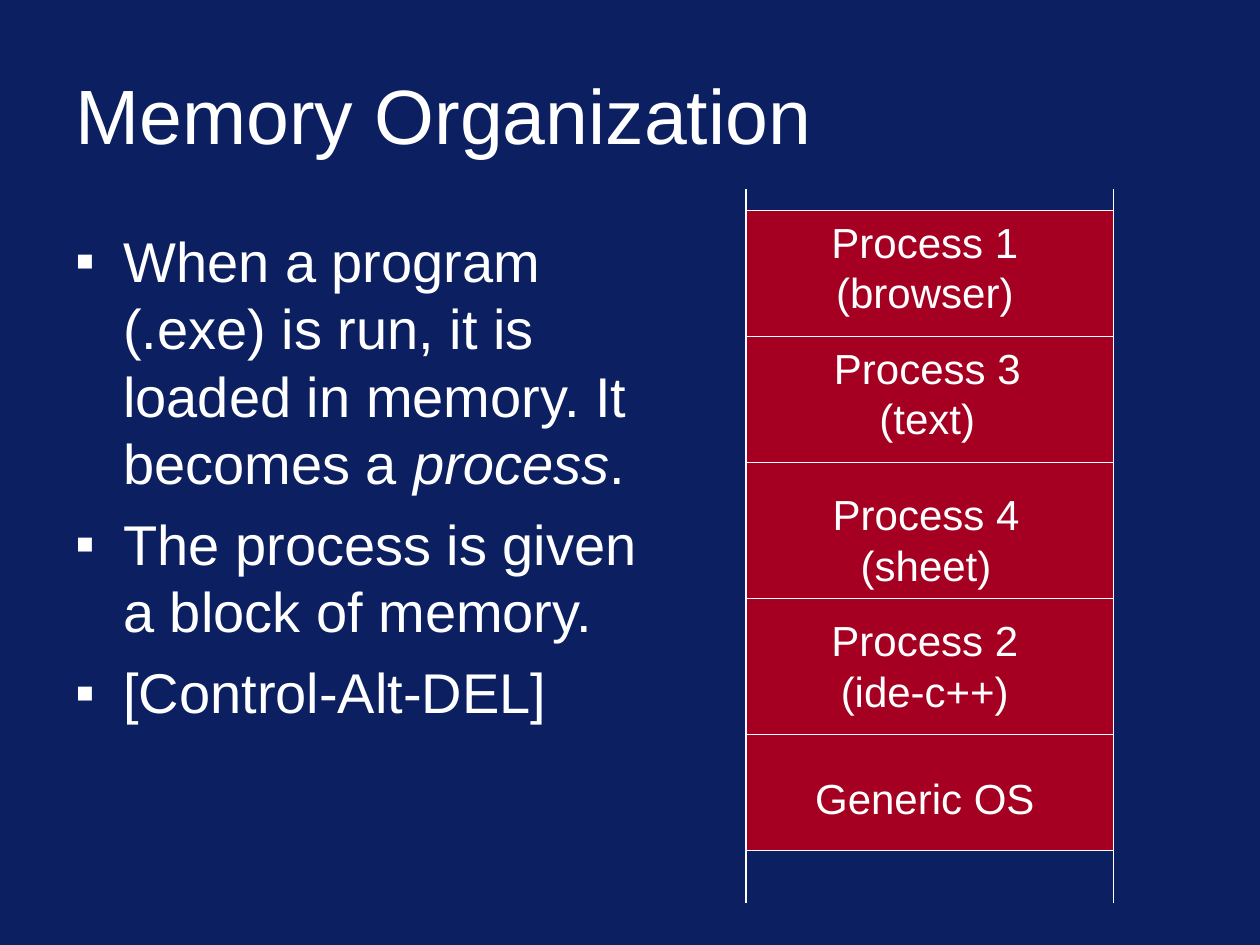
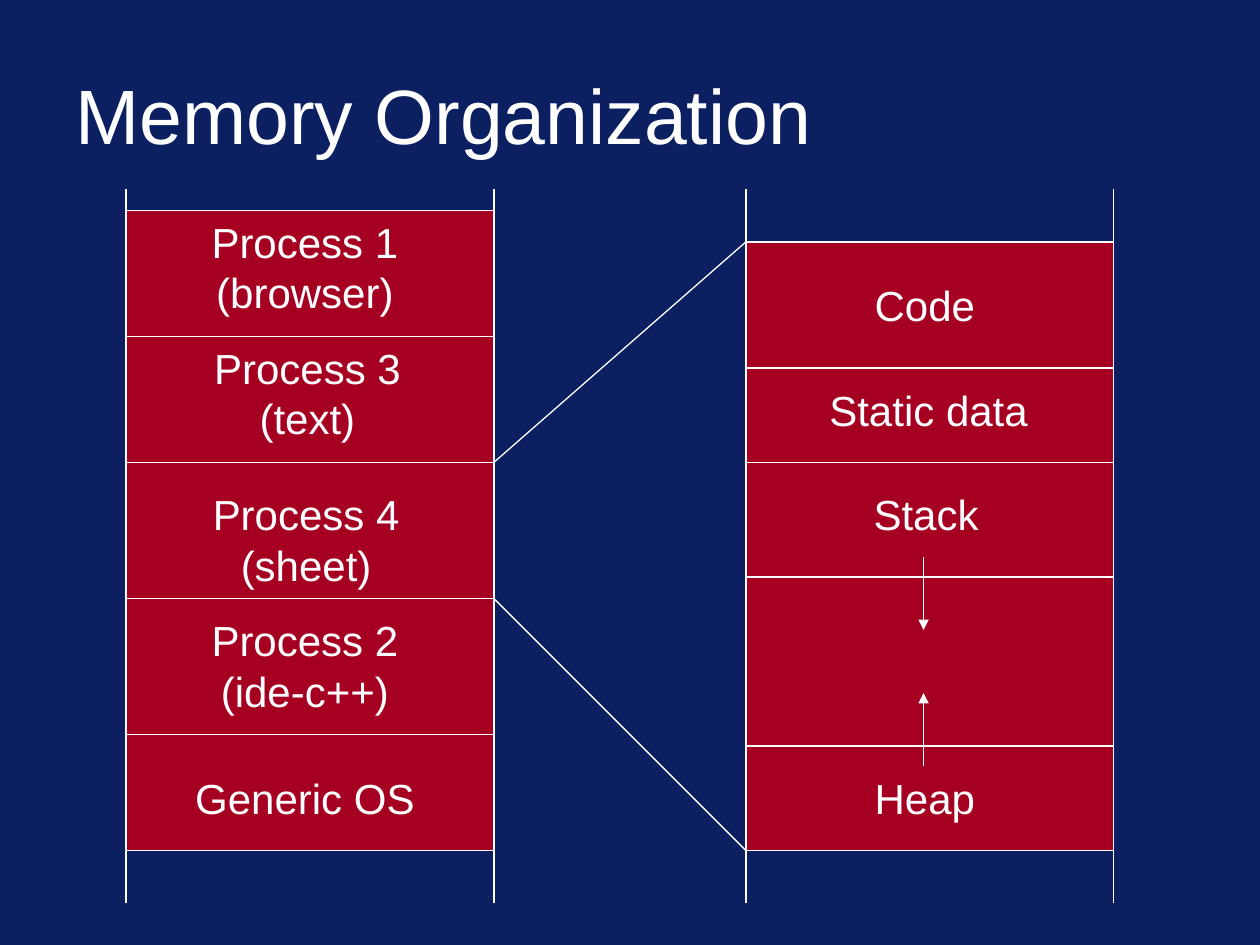
from dataclasses import dataclass

from lxml.etree import SubElement
from pptx import Presentation
from pptx.dml.color import RGBColor
from pptx.enum.shapes import MSO_CONNECTOR, MSO_SHAPE
from pptx.enum.text import MSO_ANCHOR, MSO_AUTO_SIZE, PP_ALIGN
from pptx.oxml.ns import qn
from pptx.shapes.connector import Connector
from pptx.slide import Slide
from pptx.text.text import TextFrame, _Paragraph as Paragraph
from pptx.util import Inches, Pt


@dataclass(frozen=True)
class Theme:
    background: RGBColor = RGBColor(0x0B, 0x1F, 0x61)
    block: RGBColor = RGBColor(0xA5, 0x00, 0x21)
    ink: RGBColor = RGBColor(0xFF, 0xFF, 0xFF)
    font: str = "Arial"
    title_size: int = 44
    body_size: int = 32
    label_size: int = 24
    line_width: float = 0.75


@dataclass(frozen=True)
class Label:
    lines: tuple[str, ...]
    top: float
    width: float = 1.7
    center: float = 1.42


@dataclass(frozen=True)
class MemoryMap:
    top: float
    dividers: tuple[float, ...]
    labels: tuple[Label, ...]


@dataclass(frozen=True)
class Span:
    text: str
    italic: bool = False


THEME = Theme()
MAP_WIDTH = 2.92
MAP_BOTTOM = 6.75
LEFT_MAP, RIGHT_MAP = 1.0, 5.92
RAIL_ENDS = ((1.92, 1.5), (7.17, MAP_BOTTOM))
LABEL_HEIGHTS = {1: 0.5, 2: 0.9}

PROCESSES = MemoryMap(
    top=1.67,
    dividers=(2.67, 3.67, 4.75, 5.83),
    labels=(
        Label(("Process 1", "(browser)"), 1.67),
        Label(("Process 3", "(text)"), 2.67, center=1.44),
        Label(("Process 4", "(sheet)"), 3.83, center=1.43),
        Label(("Process 2", "(ide-c++)"), 4.83),
        Label(("Generic OS",), 6.08, width=2.12),
    ),
)

SEGMENTS = MemoryMap(
    top=1.92,
    dividers=(2.92, 3.67, 4.58, 5.92),
    labels=(
        Label(("Code",), 2.17, width=1.05),
        Label(("Static data",), 3.0, width=1.85, center=1.45),
        Label(("Stack",), 3.83, width=1.1, center=1.43),
        Label(("Heap",), 6.08, width=1.05),
    ),
)

BULLETS = (
    (
        Span("When a program (.exe) is run, it is loaded in memory. It becomes a "),
        Span("process", italic=True),
        Span("."),
    ),
    (Span("The process is given a block of memory."),),
    (Span("[Control-Alt-DEL]"),),
)


def add_span(para: Paragraph, text: str, size: int, italic: bool = False) -> None:
    span = para.add_run()
    span.text = text
    span.font.name = THEME.font
    span.font.size = Pt(size)
    span.font.italic = italic
    span.font.color.rgb = THEME.ink


def add_frame(page: Slide, left: float, top: float, width: float, height: float,
              wrap: bool = True) -> TextFrame:
    box = page.shapes.add_textbox(Inches(left), Inches(top), Inches(width), Inches(height))
    box.text_frame.word_wrap = wrap
    return box.text_frame


def add_line(page: Slide, start: tuple[float, float], end: tuple[float, float]) -> Connector:
    line = page.shapes.add_connector(
        MSO_CONNECTOR.STRAIGHT, *(Inches(value) for value in (*start, *end)))
    line.line.color.rgb = THEME.ink
    line.line.width = Pt(THEME.line_width)
    SubElement(line._element.spPr, qn("a:effectLst"))
    return line


def add_arrow(page: Slide, start: tuple[float, float], end: tuple[float, float]) -> None:
    arrow = add_line(page, start, end)
    SubElement(arrow.line._get_or_add_ln(), qn("a:tailEnd"), type="triangle")


def add_label(page: Slide, label: Label, left: float) -> None:
    frame = add_frame(page, left + label.center - label.width / 2, label.top,
                      label.width, LABEL_HEIGHTS[len(label.lines)], wrap=False)
    frame.auto_size = MSO_AUTO_SIZE.SHAPE_TO_FIT_TEXT
    para = frame.paragraphs[0]
    para.alignment = PP_ALIGN.CENTER
    for index, text in enumerate(label.lines):
        if index:
            para.add_line_break()
        add_span(para, text, THEME.label_size)


def add_memory_map(page: Slide, memory: MemoryMap, left: float) -> None:
    right = left + MAP_WIDTH
    block = page.shapes.add_shape(
        MSO_SHAPE.RECTANGLE, Inches(left), Inches(memory.top),
        Inches(MAP_WIDTH), Inches(MAP_BOTTOM - memory.top))
    block.shadow.inherit = False
    block.fill.solid()
    block.fill.fore_color.rgb = THEME.block
    block.line.color.rgb = THEME.ink
    block.line.width = Pt(THEME.line_width)
    for label in memory.labels:
        add_label(page, label, left)
    for divider in memory.dividers:
        add_line(page, (left, divider), (right, divider))
    for start, end in RAIL_ENDS:
        for side in (left, right):
            add_line(page, (side, start), (side, end))


def add_bullets(page: Slide) -> None:
    frame = add_frame(page, 0.5, 1.75, 4.75, 4.75)
    for index, spans in enumerate(BULLETS):
        para = frame.add_paragraph() if index else frame.paragraphs[0]
        para.space_before = Pt(8)
        properties = para._p.get_or_add_pPr()
        properties.set("marL", str(Inches(0.38)))
        properties.set("indent", str(Inches(-0.38)))
        color = SubElement(properties, qn("a:buClr"))
        SubElement(color, qn("a:srgbClr"), val=str(THEME.ink))
        SubElement(properties, qn("a:buFont"), typeface=THEME.font)
        SubElement(properties, qn("a:buChar"), char="▪")
        for span in spans:
            add_span(para, span.text, THEME.body_size, span.italic)


def add_page(deck: Presentation, title: str) -> Slide:
    page = deck.slides.add_slide(deck.slide_layouts[6])
    page.background.fill.solid()
    page.background.fill.fore_color.rgb = THEME.background
    frame = add_frame(page, 0.5, 0.4, 9, 1)
    frame.vertical_anchor = MSO_ANCHOR.MIDDLE
    add_span(frame.paragraphs[0], title, THEME.title_size)
    return page


def build_process_page(deck: Presentation) -> None:
    page = add_page(deck, "Memory Organization")
    add_bullets(page)
    add_memory_map(page, PROCESSES, RIGHT_MAP)


def build_segment_page(deck: Presentation) -> None:
    page = add_page(deck, "Memory Organization")
    add_memory_map(page, SEGMENTS, RIGHT_MAP)
    for start, end in ((4.42, 5.0), (6.08, 5.5)):
        add_arrow(page, (7.33, start), (7.33, end))
    add_memory_map(page, PROCESSES, LEFT_MAP)
    zoom_left = LEFT_MAP + MAP_WIDTH
    for start, end in ((3.67, SEGMENTS.top), (4.75, MAP_BOTTOM)):
        add_line(page, (zoom_left, start), (RIGHT_MAP, end))


def main() -> None:
    deck = Presentation()
    deck.slide_width = Inches(10)
    deck.slide_height = Inches(7.5)
    build_process_page(deck)
    build_segment_page(deck)
    deck.save("out.pptx")


if __name__ == "__main__":
    main()
